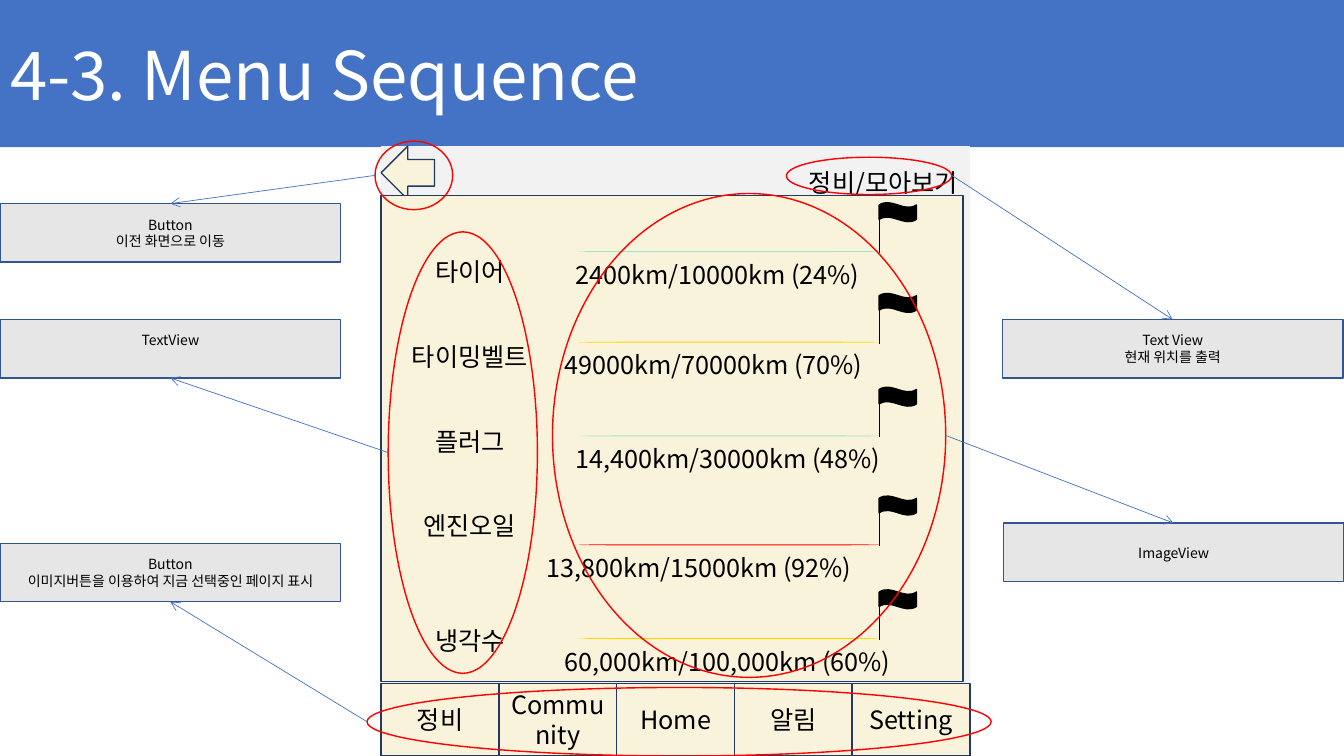
from lxml.etree import SubElement
from pptx import Presentation
from pptx.dml.color import RGBColor
from pptx.enum.shapes import MSO_CONNECTOR, MSO_SHAPE
from pptx.enum.text import MSO_ANCHOR, MSO_AUTO_SIZE, PP_ALIGN
from pptx.oxml.ns import qn
from pptx.util import Inches, Pt

FONT = "Noto Sans CJK KR"
BLUE = RGBColor(0x44, 0x72, 0xC4)
NAVY = RGBColor(0x22, 0x39, 0x61)
NOTE_LINE = RGBColor(0x32, 0x54, 0x91)
NOTE_FILL = RGBColor(0xE7, 0xE6, 0xE6)
SCREEN_GRAY = RGBColor(0xF2, 0xF2, 0xF2)
CREAM = RGBColor(0xFA, 0xF3, 0xDB)
MINT = RGBColor(0x9B, 0xE5, 0xC8)
GOLD = RGBColor(0xFF, 0xD7, 0x00)
RED = RGBColor(0xFF, 0x00, 0x00)
BLACK = RGBColor(0, 0, 0)
WHITE = RGBColor(0xFF, 0xFF, 0xFF)

TITLE = "4-3. Menu Sequence"
LOCATION = "정비/모아보기"
TABS = ["정비", "Community", "Home", "알림", "Setting"]
# part name, space before it in points
PARTS = [("타이어", 0), ("타이밍벨트", 39), ("플러그", 39), ("엔진오일", 39), ("냉각수", 60.5)]
# bar top, bar colour, reading, reading left
GAUGES = [
    (2.49, MINT, "2400km/10000km (24%)", 5.61),
    (3.39, GOLD, "49000km/70000km (70%)", 5.5),
    (4.32, MINT, "14,400km/30000km (48%)", 5.61),
    (5.4, RED, "13,800km/15000km (92%)", 5.32),
    (6.33, GOLD, "60,000km/100,000km (60%)", 5.5),
]
TOP, BOTTOM = 0, 2
# note left, top, text, extra bottom margin, ellipse box, arrow start, side of the note
CALLOUTS = [
    (0, 2.02, "Button\n이전 화면으로 이동", 0, (3.72, 1.4, 0.77, 0.68), (3.72, 1.74), TOP),
    (0, 3.17, "TextView", 0.17, (3.85, 2.3, 1.48, 4.38), (3.85, 4.49), BOTTOM),
    (0, 5.39, "Button\n이미지버튼을 이용하여 지금 선택중인 페이지 표시", 0,
     (3.64, 6.82, 6.19, 0.68), (3.64, 7.16), BOTTOM),
    (9.94, 3.17, "Text View\n현재 위치를 출력", 0, (7.8, 1.56, 1.64, 0.37), (9.44, 1.74), TOP),
    (9.95, 5.19, "ImageView", 0, (5.48, 1.92, 3.9, 4.8), (9.38, 4.32), TOP),
]
SCREEN_LEFT, SCREEN_TOP, SCREEN_WIDTH = 3.78, 1.45, 5.84
BAR_LEFT, BAR_WIDTH = 5.74, 2.98

presentation = Presentation()
presentation.slide_width, presentation.slide_height = Inches(13.33), Inches(7.5)
slide = presentation.slides.add_slide(presentation.slide_layouts[5])


def write(shape, text, size, color=BLACK, align=PP_ALIGN.CENTER, anchor=MSO_ANCHOR.MIDDLE):
    frame = shape.text_frame
    frame.text = text
    frame.word_wrap = True
    frame.auto_size = MSO_AUTO_SIZE.NONE
    frame.vertical_anchor = anchor
    for paragraph in frame.paragraphs:
        paragraph.alignment = align
        for run in paragraph.runs:
            run.font.size = Pt(size)
            run.font.color.rgb = color
            run.font.name = FONT
            SubElement(run.font._element, qn("a:ea"), typeface=FONT)


def add_box(kind, box, fill=None, line=None):
    shape = slide.shapes.add_shape(kind, *map(Inches, box))
    shape.shadow.inherit = False
    if fill is None:
        shape.fill.background()
    else:
        shape.fill.solid()
        shape.fill.fore_color.rgb = fill
    if line is None:
        shape.line.fill.background()
    else:
        shape.line.color.rgb = line
        shape.line.width = Pt(1)
    return shape


def add_label(box, text, **style):
    label = slide.shapes.add_textbox(*map(Inches, box))
    write(label, text, 18, **style)
    return label


def add_line(start, end, color):
    line = slide.shapes.add_connector(MSO_CONNECTOR.STRAIGHT, *map(Inches, start + end))
    line.line.color.rgb = color
    line.line.width = Pt(0.5)
    SubElement(line._element.spPr, qn("a:effectLst"))
    return line


def add_gauge(top, color, reading, reading_left):
    flag_left = BAR_LEFT + BAR_WIDTH
    add_box(MSO_SHAPE.FLOWCHART_TERMINATOR, (BAR_LEFT, top, BAR_WIDTH, 0.01), color)
    add_box(MSO_SHAPE.WAVE, (flag_left, top - 0.48, 0.37, 0.19), BLACK, BLACK)
    add_line((flag_left, top - 0.39), (flag_left, top + 0.02), BLACK)
    add_label((reading_left, top + 0.03, 6.42, 0.4), reading,
              align=PP_ALIGN.LEFT, anchor=MSO_ANCHOR.TOP)


title = slide.shapes.title
title.left, title.top, title.width, title.height = map(Inches, (0, 0, 13.33, 1.46))
title.fill.solid()
title.fill.fore_color.rgb = BLUE
write(title, TITLE, 48, WHITE, PP_ALIGN.LEFT)

# Phone screen
add_box(MSO_SHAPE.RECTANGLE, (SCREEN_LEFT, SCREEN_TOP, SCREEN_WIDTH, 6.05), SCREEN_GRAY)
tab_width = SCREEN_WIDTH / len(TABS)
for index, name in enumerate(TABS):
    tab_box = (SCREEN_LEFT + index * tab_width, 6.78, tab_width, 0.72)
    write(add_box(MSO_SHAPE.RECTANGLE, tab_box, CREAM, NAVY), name, 18)
add_label((5.16, SCREEN_TOP, 4.44, 0.72), LOCATION, align=PP_ALIGN.RIGHT)
add_box(MSO_SHAPE.LEFT_ARROW, (SCREEN_LEFT, SCREEN_TOP, 0.53, 0.53), CREAM, NAVY)
add_box(MSO_SHAPE.RECTANGLE, (SCREEN_LEFT, 1.94, 5.77, 4.82), CREAM, NAVY)
for gauge in GAUGES:
    add_gauge(*gauge)
part_list = add_label((3.93, 2.36, 1.46, 4.33), "\n".join(name for name, _ in PARTS))
for paragraph, (_, space) in zip(part_list.text_frame.paragraphs, PARTS):
    paragraph.space_before = Pt(space)

# Notes with their marks and arrows
for left, top, text, extra_margin, ellipse_box, start, side in CALLOUTS:
    note = add_box(MSO_SHAPE.RECTANGLE, (left, top, 3.38, 0.58), NOTE_FILL, NOTE_LINE)
    write(note, text, 10)
    note.text_frame.margin_bottom = Inches(0.05 + extra_margin)
    add_box(MSO_SHAPE.OVAL, ellipse_box, line=RED)
    arrow = add_line(start, (left, top), BLUE)
    arrow.end_connect(note, side)
    SubElement(arrow.line._get_or_add_ln(), qn("a:tailEnd"), type="arrow")

presentation.save("out.pptx")
